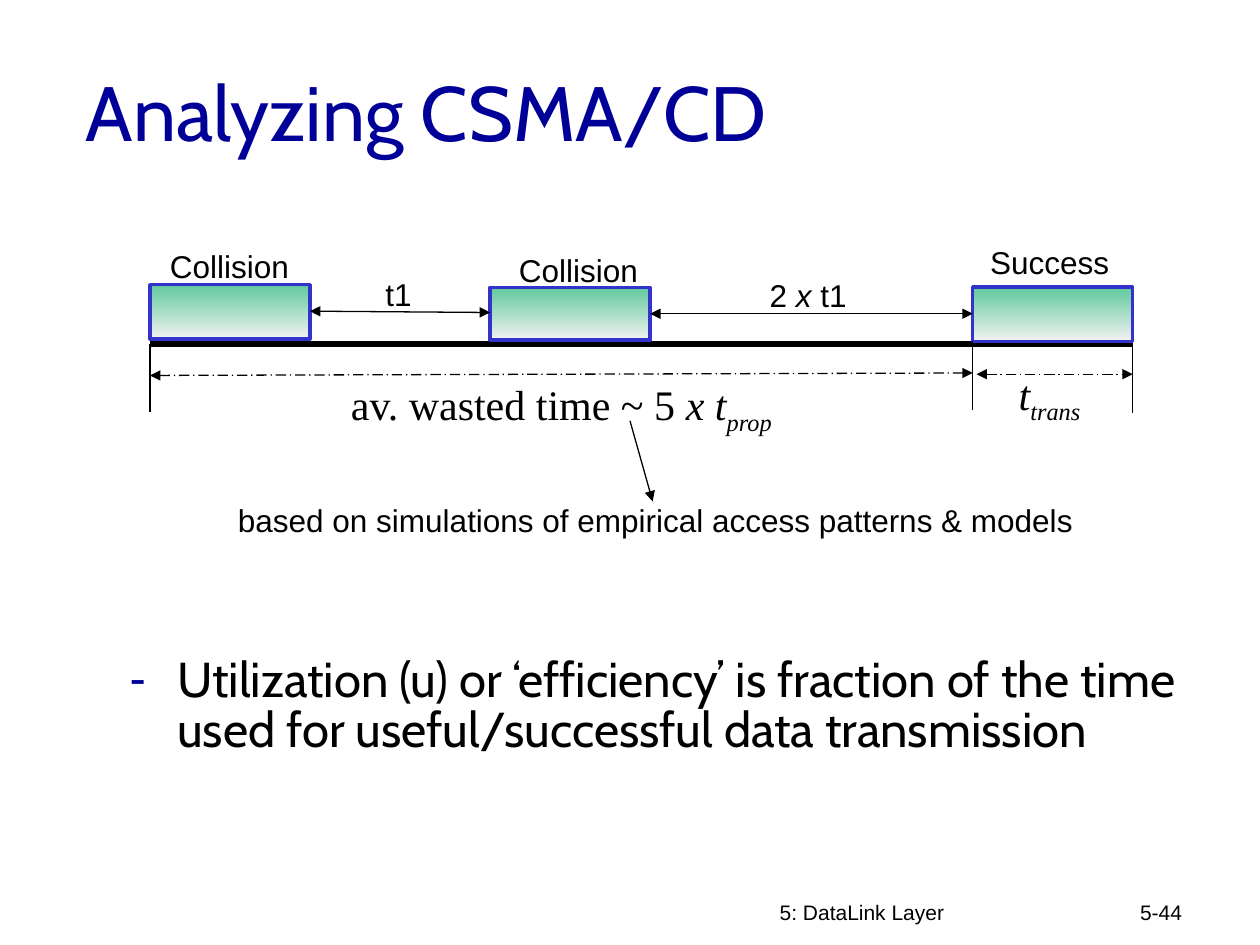
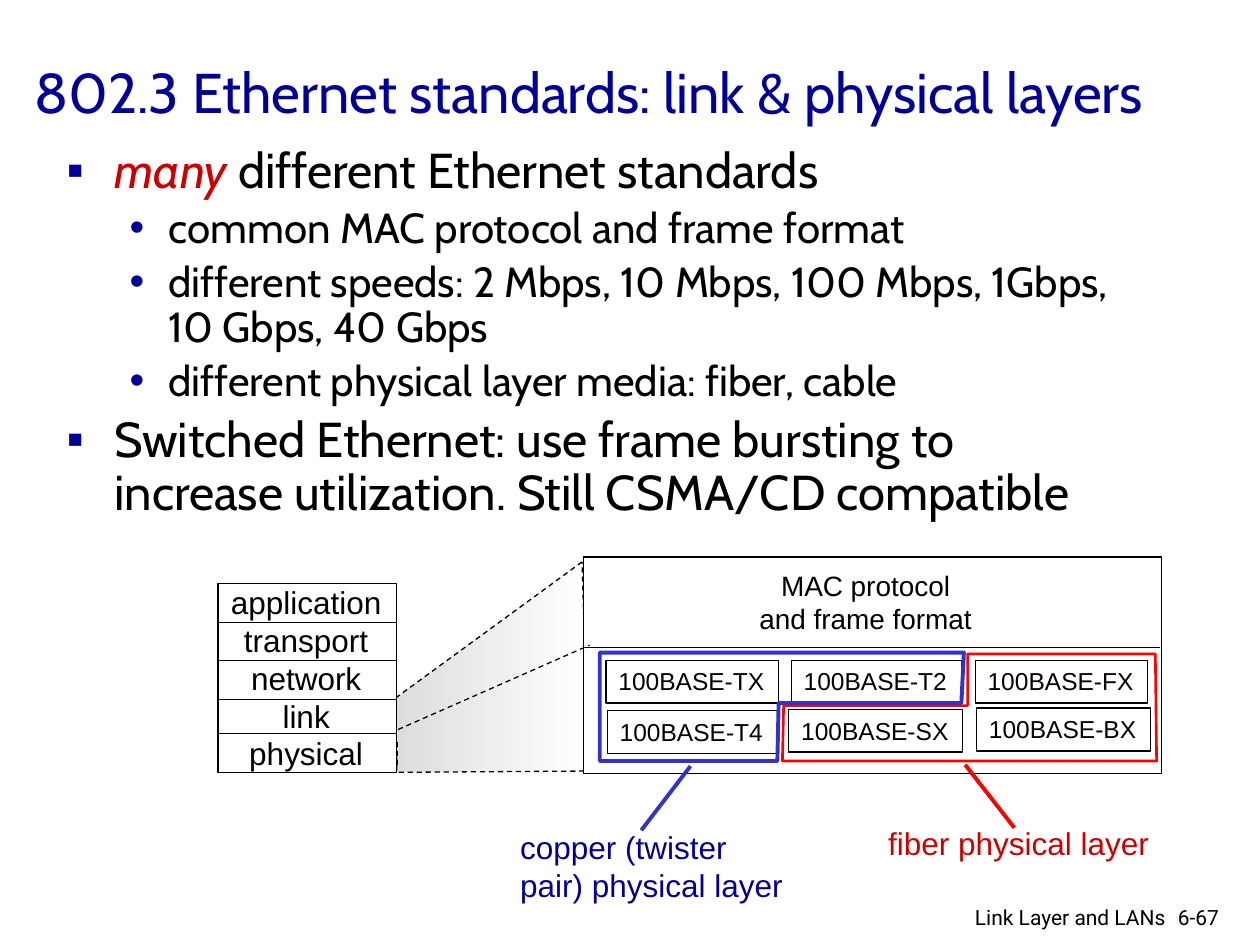
from lxml import etree
from pptx import Presentation
from pptx import util as u
from pptx.dml.color import RGBColor
from pptx.enum import dml, shapes, text
from pptx.oxml import ns

NAVY = RGBColor(0x00, 0x00, 0x99)
BLUE = RGBColor(0x33, 0x33, 0xCC)
CRIMSON = RGBColor(0xCC, 0x00, 0x00)
RED = RGBColor(0xFF, 0x00, 0x00)
GREEN = RGBColor(0x60, 0xC9, 0x9C)
PALE = RGBColor(0xF2, 0xF2, 0xF2)
GREY = RGBColor(0xDD, 0xDD, 0xDD)
BLACK = RGBColor(0x00, 0x00, 0x00)
WHITE = RGBColor(0xFF, 0xFF, 0xFF)

HEADING, LABEL, SERIF, FOOTER = "Cabin", "Arial", "Times New Roman", "Roboto"
LEFT, CENTER, RIGHT = text.PP_ALIGN.LEFT, text.PP_ALIGN.CENTER, text.PP_ALIGN.RIGHT
TOP, MIDDLE = text.MSO_ANCHOR.TOP, text.MSO_ANCHOR.MIDDLE
DASH, DASH_DOT = dml.MSO_LINE.DASH, dml.MSO_LINE.LONG_DASH_DOT
ITALIC = {"italic": True}
SUBSCRIPT = {"italic": True, "baseline": -25000}


def inches(values):
    return [u.Inches(v) for v in values]


def add_xml(parent, tag, **attributes):
    return etree.SubElement(parent, ns.qn(tag), attributes)


class Deck:
    def __init__(self):
        self.prs = Presentation()
        self.prs.slide_width, self.prs.slide_height = inches((10, 7.5))
        self.s = None

    def slide(self, title, at, size):
        self.s = self.prs.slides.add_slide(self.prs.slide_layouts[5])
        sp = self.s.shapes.title
        sp.left, sp.top, sp.width, sp.height = inches(at)
        tf = sp.text_frame
        tf.word_wrap = True
        tf.auto_size = text.MSO_AUTO_SIZE.NONE
        tf.vertical_anchor = MIDDLE
        self.fill_frame(tf, [title], size, NAVY, HEADING)

    def fill_frame(self, tf, paragraphs, size, color=BLACK, font=LABEL, align=LEFT):
        for i, content in enumerate(paragraphs):
            p = tf.add_paragraph() if i else tf.paragraphs[0]
            self.fill_paragraph(p, content, size, color, font)
            p.alignment = align

    def fill_paragraph(self, p, content, size, color, font):
        if isinstance(content, str):
            content = [(content, {})]
        for words, style in content:
            r = p.add_run()
            r.text = words
            r.font.name, r.font.size = font, u.Pt(size)
            r.font.color.rgb = style.get("color", color)
            r.font.italic = style.get("italic", False)
            if "baseline" in style:
                r.font._element.set("baseline", str(style["baseline"]))

    def label(self, at, paragraphs, size=18, color=BLACK, font=LABEL, align=LEFT, wrap=False):
        tf = self.s.shapes.add_textbox(*inches(at)).text_frame
        tf.word_wrap = wrap
        self.fill_frame(tf, paragraphs, size, color, font, align)

    def bullets(self, at, items, spacing):
        tf = self.s.shapes.add_textbox(*inches(at)).text_frame
        tf.word_wrap = True
        for i, (mark, size, margin, indent, content) in enumerate(items):
            p = tf.add_paragraph() if i else tf.paragraphs[0]
            pPr = p._p.get_or_add_pPr()
            pPr.set("marL", str(u.Inches(margin)))
            pPr.set("indent", str(u.Inches(-indent)))
            add_xml(add_xml(pPr, "a:buClr"), "a:srgbClr", val=str(NAVY))
            add_xml(pPr, "a:buFont", typeface=LABEL)
            add_xml(pPr, "a:buChar", char=mark)
            p.line_spacing = spacing
            if i:
                p.space_before = u.Pt(size * 0.2)
            self.fill_paragraph(p, content, size, BLACK, HEADING)

    def finish(self, sp, fill, line, width, dash=None):
        sp.shadow.inherit = False
        if fill is None:
            sp.fill.background()
        elif isinstance(fill, RGBColor):
            sp.fill.solid()
            sp.fill.fore_color.rgb = fill
        else:
            start, end, angle = fill
            sp.fill.gradient()
            sp.fill.gradient_angle = angle
            for stop, color, position in zip(sp.fill.gradient_stops, (start, end), (0, 1)):
                stop.color.rgb, stop.position = color, position
        self.stroke(sp, line, width, dash)

    def stroke(self, sp, color, width, dash):
        sp.line.color.rgb = color
        sp.line.width = u.Pt(width)
        if dash:
            sp.line.dash_style = dash

    def box(self, at, fill=None, line=BLACK, width=0.75, words=None, size=14,
            font=LABEL, align=LEFT, anchor=TOP):
        sp = self.s.shapes.add_shape(shapes.MSO_SHAPE.RECTANGLE, *inches(at))
        self.finish(sp, fill, line, width)
        if words:
            tf = sp.text_frame
            tf.word_wrap = False
            tf.vertical_anchor = anchor
            self.fill_frame(tf, [words], size, font=font, align=align)

    def outline(self, points, line, width, fill=None, dash=None):
        start, *rest = [inches(point) for point in points]
        builder = self.s.shapes.build_freeform(*start, scale=1.0)
        builder.add_line_segments(rest, close=True)
        self.finish(builder.convert_to_shape(), fill, line, width, dash)

    def line(self, start, end, color=BLACK, width=0.75, dash=None, arrows=()):
        cx = self.s.shapes.add_connector(shapes.MSO_CONNECTOR.STRAIGHT, *inches(start + end))
        self.stroke(cx, color, width, dash)
        spPr = cx._element.spPr
        ln = spPr.find(ns.qn("a:ln"))
        for arrow in arrows:
            add_xml(ln, arrow, type="triangle")
        add_xml(spPr, "a:effectLst")


TO_END = ("a:tailEnd",)
BOTH_ENDS = ("a:headEnd", "a:tailEnd")


def csma_slide(d):
    d.slide("Analyzing CSMA/CD", (0.58, 0.25, 8.5, 1.25), 44)
    d.label((6.09, 7.09, 3.17, 0.5), ["5: DataLink Layer"], 12, wrap=True)
    d.label((8.95, 7.09, 0.74, 0.5), ["5-44"], 12, wrap=True)
    d.bullets((0.93, 5.17, 8.5, 1.83), [
        ("-", 28, 0.38, 0.38, "Utilization (u) or ‘efficiency’ is fraction of the time "
                              "used for useful/successful data transmission")], 0.85)

    wasted = [("av. wasted time ~ 5 ", {}), ("x t", ITALIC), ("prop", SUBSCRIPT)]
    sending = [("t", ITALIC), ("trans", SUBSCRIPT)]
    for at, words in (((1.58, 2.9, 5.75, 0.67), wasted), ((7.58, 2.86, 1.5, 0.58), sending)):
        d.box(at, WHITE, WHITE, words=words, size=24, font=SERIF, align=CENTER, anchor=MIDDLE)

    start, success, end, axis = 1.19, 7.72, 8.99, 2.73
    d.line((start, axis), (end, axis), width=3)
    for left, top, height in ((start, 2.26, 0.43), (3.89, 2.28, 0.42), (success, 2.28, 0.43)):
        d.box((left, top, 1.27, height), (GREEN, PALE, 270), BLUE, 2)
    d.line((2.46, 2.47), (3.89, 2.48), arrows=BOTH_ENDS)
    d.line((5.16, 2.49), (success, 2.49), arrows=BOTH_ENDS)

    for left, top, width, words in (
            (2.96, 2.13, 0.41, "t1"),
            (6.01, 2.14, 0.82, [("2 ", {}), ("x", ITALIC), (" t1", {})]),
            (7.76, 1.88, 1.16, "Success"),
            (4.02, 1.94, 1.16, "Collision"),
            (1.25, 1.91, 1.16, "Collision"),
            (1.79, 3.93, 6.89, "based on simulations of empirical access patterns & models")):
        d.label((left, top, width, 0.4), [words])

    d.line((start, 2.98), (success, 2.96), dash=DASH_DOT, arrows=BOTH_ENDS)
    d.line((7.75, 2.97), (end, 2.97), dash=DASH_DOT, arrows=BOTH_ENDS)
    for x, top in ((start, 2.73), (success, 2.71), (end, 2.74)):
        d.line((x, top), (x, top + 0.54))
    d.line((5, 3.34), (5.18, 3.98), arrows=TO_END)


def ethernet_slide(d):
    d.slide("802.3 Ethernet standards: link & physical layers", (0.17, 0.1, 9.53, 1.25), 32)
    main_item, sub_item = ("▪", 28, 0.38, 0.38), ("•", 24, 0.81, 0.31)
    many = {"italic": True, "color": CRIMSON}
    d.bullets((0.43, 1.11, 8.5, 2.3), [
        (*main_item, [("many ", many), ("different Ethernet standards", {})]),
        (*sub_item, "common MAC protocol and frame format"),
        (*sub_item, "different speeds: 2 Mbps, 10 Mbps, 100 Mbps, 1Gbps, 10 Gbps, 40 Gbps"),
        (*sub_item, "different physical layer media: fiber, cable"),
        (*main_item, "Switched Ethernet: use frame bursting to increase utilization. "
                     "Still CSMA/CD compatible")], 0.9)

    d.outline([(4.62, 4.46), (3.14, 5.54), (3.15, 6.13), (4.67, 6.12)],
              BLACK, 0.75, (GREY, WHITE, 0), DASH)

    left, right = 1.73, 3.15
    d.box((left, 4.63, right - left, 1.5), WHITE)
    d.label((left, 4.58, 1.4, 1.6),
            ["application", "transport", "network", "link", "physical"], align=CENTER)
    for y in (4.94, 5.24, 5.55, 5.82):
        d.line((left, y), (right, y))
    for x, y in ((left, 5.91), (right, 5.89)):
        d.line((x, y), (x, y + 0.19), dash=DASH)

    d.box((4.63, 4.42, 4.59, 1.72), WHITE)
    d.line((4.64, 5.14), (9.21, 5.14))
    d.label((5.92, 4.46, 1.9, 0.64), ["MAC protocol", "and frame format"], 16, align=CENTER)
    d.line((3.16, 5.79), (4.68, 5.12), dash=DASH)

    for x, y, width, name in (
            (4.81, 5.24, 1.37, "TX"), (6.28, 5.24, 1.35, "T2"), (7.74, 5.24, 1.37, "FX"),
            (4.82, 5.64, 1.35, "T4"), (6.26, 5.63, 1.38, "SX"), (7.75, 5.62, 1.38, "BX")):
        d.box((x, y, width, 0.34), words=f"100BASE-{name}")

    d.outline([(7.68, 5.19), (7.68, 5.6), (6.22, 5.6), (6.21, 6.04), (9.18, 6.04), (9.17, 5.19)],
              RED, 1.5)
    d.line((7.66, 6.07), (8.05, 6.57), RED, 2.25)
    d.label((6.95, 6.49, 2.29, 0.4), ["fiber physical layer"], color=CRIMSON)

    d.outline([(7.65, 5.18), (7.63, 5.58), (6.18, 5.58), (6.17, 6.04), (4.76, 6.04), (4.76, 5.18)],
              BLUE, 2.25)
    d.line((5.48, 6.08), (5.09, 6.59), BLUE, 2.25)
    d.label((4.03, 6.52, 2.31, 0.71), ["copper (twister", "pair) physical layer"], color=NAVY)

    d.label((9.25, 7.13, 0.6, 0.3), ["6-67"], 12, font=FOOTER, wrap=True)
    d.label((6.97, 7.13, 2.38, 0.26), ["Link Layer and LANs"], 12, font=FOOTER,
            align=RIGHT, wrap=True)


def main():
    d = Deck()
    csma_slide(d)
    ethernet_slide(d)
    d.prs.save("out.pptx")


if __name__ == "__main__":
    main()
